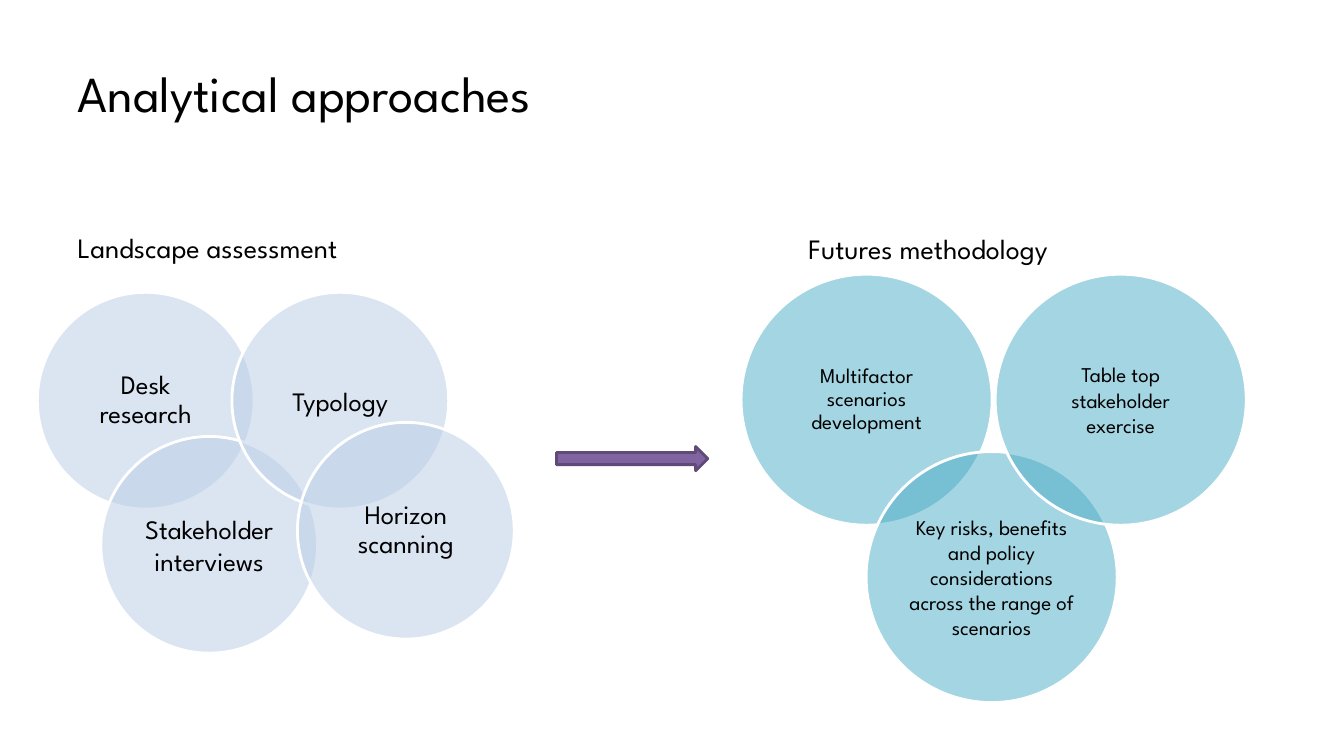
from dataclasses import dataclass

from lxml.etree import SubElement
from pptx import Presentation
from pptx.dml.color import RGBColor
from pptx.enum.shapes import MSO_SHAPE as Shp
from pptx.enum.text import MSO_ANCHOR as Anchor, MSO_AUTO_SIZE as Fit, PP_ALIGN as Align
from pptx.oxml.ns import qn
from pptx.util import Emu, Pt

PX = 9144
FONT = "League Spartan"
BLACK, WHITE = "000000", "FFFFFF"


@dataclass
class Circle:
    x: int
    y: int
    text: str
    spacing: float = 1.0


@dataclass
class Cluster:
    size: int
    inset: int
    color: str
    font_size: int
    circles: list[Circle]


CLUSTERS = [
    Cluster(215, 8, "B9CDE5", 19, [
        Circle(37, 290, "Desk research", 0.9),
        Circle(100, 433, "Stakeholder interviews"),
        Circle(230, 290, "Typology"),
        Circle(295, 419, "Horizon scanning", 0.9),
    ]),
    Cluster(249, 6, "4BACC6", 15, [
        Circle(735, 272, "Multifactor scenarios development", 0.9),
        Circle(859, 448, "Key risks, benefits and policy considerations across the range of scenarios"),
        Circle(987, 272, "Table top stakeholder exercise"),
    ]),
]


def px(n: int) -> Emu:
    return Emu(n * PX)


def rgb(color: str) -> RGBColor:
    return RGBColor.from_string(color)


def place(sp, x: int, y: int, w: int, h: int) -> None:
    sp.left, sp.top, sp.width, sp.height = px(x), px(y), px(w), px(h)


def write(sp, text: str, *, size: int, align=Align.LEFT, anchor=Anchor.TOP,
          spacing: float = 1.0, after: int = 0, inset: int | None = None,
          bullet: bool = True) -> None:
    tf = sp.text_frame
    tf.word_wrap = True
    tf.auto_size = Fit.NONE
    tf.vertical_anchor = anchor
    if inset is not None:
        tf.margin_left = tf.margin_right = tf.margin_top = tf.margin_bottom = px(inset)
    p = tf.paragraphs[0]
    p.alignment = align
    p.line_spacing = spacing
    p.space_before = Pt(0)
    p.space_after = Pt(after)
    if not bullet:
        pr = p._p.get_or_add_pPr()
        pr.set("marL", "0")
        pr.set("indent", "0")
        SubElement(pr, qn("a:buNone"))
    r = p.add_run()
    r.text = text
    r.font.name = FONT
    r.font.size = Pt(size)
    r.font.color.rgb = rgb(BLACK)


def add_shape(slide, kind, x: int, y: int, w: int, h: int, fill: str, line: str,
              alpha: int = 100):
    sp = slide.shapes.add_shape(kind, px(x), px(y), px(w), px(h))
    sp.shadow.inherit = False
    sp.fill.solid()
    sp.fill.fore_color.rgb = rgb(fill)
    if alpha < 100:
        clr = sp.fill._xPr.find(qn("a:solidFill"))[0]
        SubElement(clr, qn("a:alpha")).set("val", str(alpha * 1000))
    sp.line.color.rgb = rgb(line)
    sp.line.width = Pt(2)
    return sp


def add_cluster(slide, cluster: Cluster) -> None:
    for c in cluster.circles:
        sp = add_shape(slide, Shp.OVAL, c.x, c.y, cluster.size, cluster.size,
                       cluster.color, WHITE, alpha=50)
        write(sp, c.text, size=cluster.font_size, align=Align.CENTER,
              anchor=Anchor.MIDDLE, spacing=c.spacing, inset=cluster.inset)


def main() -> None:
    prs = Presentation()
    prs.slide_width, prs.slide_height = px(1333), px(750)
    slide = prs.slides.add_slide(prs.slide_layouts[1])

    title, body = slide.placeholders
    place(title, 67, 30, 1200, 124)
    write(title, "Analytical approaches", size=36, anchor=Anchor.MIDDLE)
    place(body, 67, 224, 569, 500)
    write(body, "Landscape assessment", size=20, after=6, bullet=False)

    for cluster in CLUSTERS:
        add_cluster(slide, cluster)

    heading = slide.shapes.add_textbox(px(792), px(225), px(500), px(50))
    write(heading, "Futures methodology", size=20, after=6)
    add_shape(slide, Shp.RIGHT_ARROW, 552, 443, 150, 24, "8064A2", "5F4A78")

    prs.save("out.pptx")


if __name__ == "__main__":
    main()
